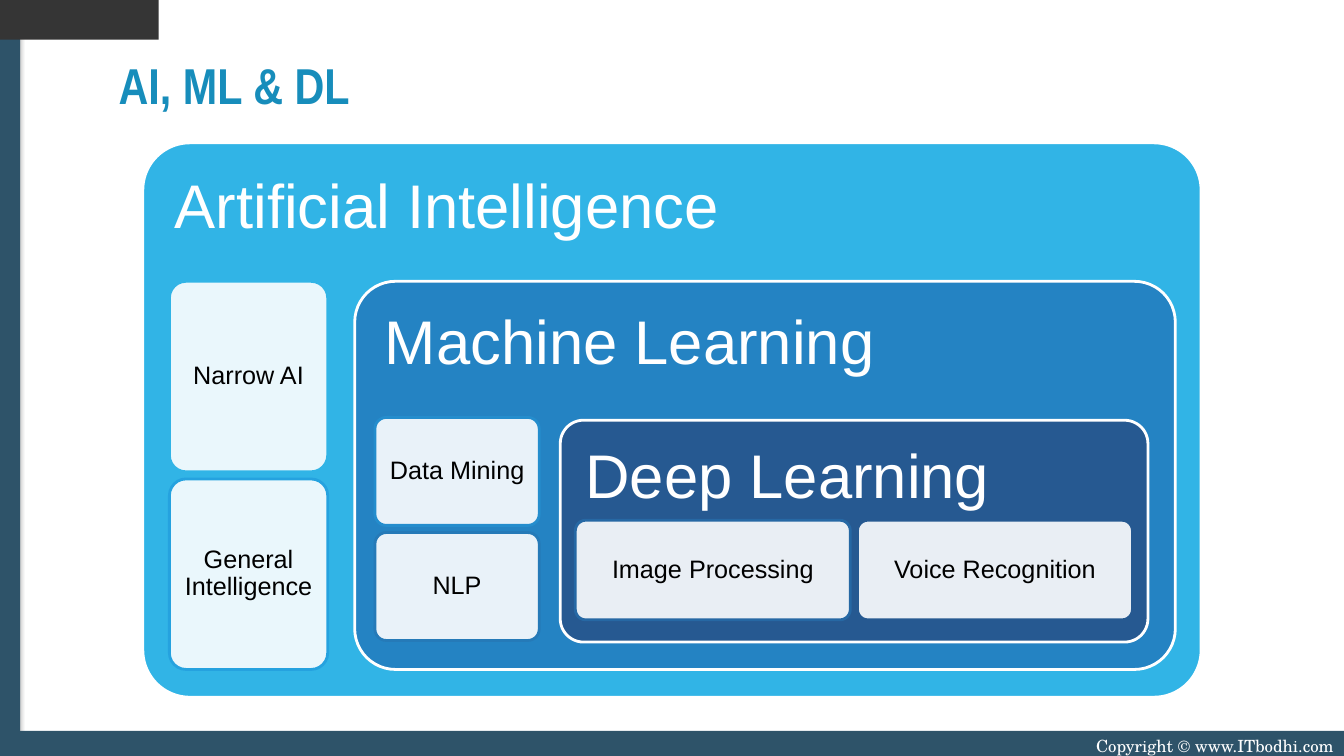
import pptx
import pptx.util
import pptx.dml.color
import pptx.enum.shapes
import pptx.enum.text
import pptx.oxml
import pptx.oxml.ns

Cm = pptx.util.Cm
Pt = pptx.util.Pt
Kind = pptx.enum.shapes.MSO_SHAPE
Align = pptx.enum.text.PP_ALIGN
Anchor = pptx.enum.text.MSO_ANCHOR

WHITE = "FFFFFF"
SLATE = "2E5369"
GAP = 0.18


def color(text):
    return pptx.dml.color.RGBColor.from_string(text)


def write(shape, text, size=18, font="Arial", ink="000000", bold=False,
          align=Align.LEFT, anchor=Anchor.TOP, inset=(0.25, 0.13), lead=None):
    frame = shape.text_frame
    frame.word_wrap = True
    frame.vertical_anchor = anchor
    frame.margin_left = frame.margin_right = Cm(inset[0])
    frame.margin_top = frame.margin_bottom = Cm(inset[1])
    para = frame.paragraphs[0]
    para.alignment = align
    if lead:
        para.line_spacing = lead
    run = para.add_run()
    run.text = text
    run.font.size = Pt(size)
    run.font.name = font
    run.font.bold = bold
    run.font.color.rgb = color(ink)


class Deck:
    def __init__(self, show):
        self.slide = show.slides.add_slide(show.slide_layouts[6])
        self.shapes = self.slide.shapes

    def paint(self, shape, fill, line=None, alpha=None):
        shape.shadow.inherit = False
        shape.fill.solid()
        shape.fill.fore_color.rgb = color(fill)
        if alpha:
            tone = shape.fill._xPr.find(".//" + pptx.oxml.ns.qn("a:srgbClr"))
            tone.append(pptx.oxml.parse_xml(
                f'<a:alpha {pptx.oxml.ns.nsdecls("a")} val="{alpha * 1000}"/>'))
        if line:
            shape.line.color.rgb = color(line)
            shape.line.width = Pt(2)
        else:
            shape.line.fill.background()
        return shape

    def bar(self, left, top, width, height):
        shape = self.shapes.add_shape(
            Kind.RECTANGLE, Cm(left), Cm(top), Cm(width), Cm(height))
        return self.paint(shape, SLATE)

    def shade(self, shape):
        glow = shape._element.spPr.find(pptx.oxml.ns.qn("a:effectLst"))
        glow.append(pptx.oxml.parse_xml(
            f'<a:outerShdw {pptx.oxml.ns.nsdecls("a")} blurRad="38100" dist="25400" '
            'dir="5400000" rotWithShape="0"><a:srgbClr val="000000">'
            '<a:alpha val="25000"/></a:srgbClr></a:outerShdw>'))

    def tab(self, points, fill):
        form = self.shapes.build_freeform(*points[0], scale=Cm(1))
        form.add_line_segments(points[1:], close=True)
        self.paint(form.convert_to_shape(), fill)

    def label(self, text, left, top, width, height, **style):
        box = self.shapes.add_textbox(Cm(left), Cm(top), Cm(width), Cm(height))
        write(box, text, **style)

    def round(self, place, fill, line, curve=0.105, alpha=None):
        shape = self.shapes.add_shape(
            Kind.ROUNDED_RECTANGLE, *[Cm(part) for part in place])
        shape.adjustments[0] = curve
        return self.paint(shape, fill, line, alpha)

    def panel(self, text, place, fill, curve=0.105):
        shape = self.round(place, fill, WHITE, curve)
        write(shape, text, size=44, ink=WHITE, inset=(0.46, 0.46), lead=0.9)

    def cards(self, items, left, top, width, height, across=False):
        for rank, (text, line) in enumerate(items):
            x = left + rank * (width + GAP) * across
            y = top + rank * (height + GAP) * (not across)
            shape = self.round((x, y, width, height), WHITE, line, alpha=90)
            write(shape, text, align=Align.CENTER, anchor=Anchor.MIDDLE,
                  inset=(0.18, 0.18), lead=0.9)


def main():
    show = pptx.Presentation()
    show.slide_width = Cm(33.87)
    show.slide_height = Cm(19.05)
    deck = Deck(show)

    deck.shade(deck.bar(0, 0, 0.51, 19.05))
    deck.tab([(0, -0.84), (3.71, -0.84), (3.76, -0.81), (4.39, -0.18),
              (4.42, -0.13), (4.39, -0.08), (3.76, 0.56), (3.71, 0.58),
              (3.45, 0.58), (0, 0.56)], "353535")
    write(deck.bar(0, 18.42, 33.87, 0.84), "Copyright © www.ITbodhi.com",
          size=12, font="TeX Gyre Schola", ink=WHITE, align=Align.RIGHT)
    deck.label("AI, ML & DL", 2.74, 1.24, 10.59, 1.47, size=36,
               font="Arial Narrow", ink="178DBB", bold=True)

    deck.panel("Artificial Intelligence", (3.6, 3.6, 26.67, 13.97), "31B4E6", 0.085)
    deck.cards([("Narrow AI", "31B4E6"), ("General Intelligence", "25A2DF")],
               4.27, 7.09, 3.99, 4.8)
    deck.panel("Machine Learning", (8.94, 7.09, 20.68, 9.78), "2483C3")
    deck.cards([("Data Mining", "248DCD"), ("NLP", "257AB8")],
               9.45, 10.52, 4.14, 2.72)
    deck.panel("Deep Learning", (14.12, 10.59, 14.81, 5.59), "265991")
    deck.cards([("Image Processing", "2668A4"), ("Voice Recognition", "265991")],
               14.5, 13.11, 6.93, 2.51, across=True)

    show.save("out.pptx")


if __name__ == "__main__":
    main()
